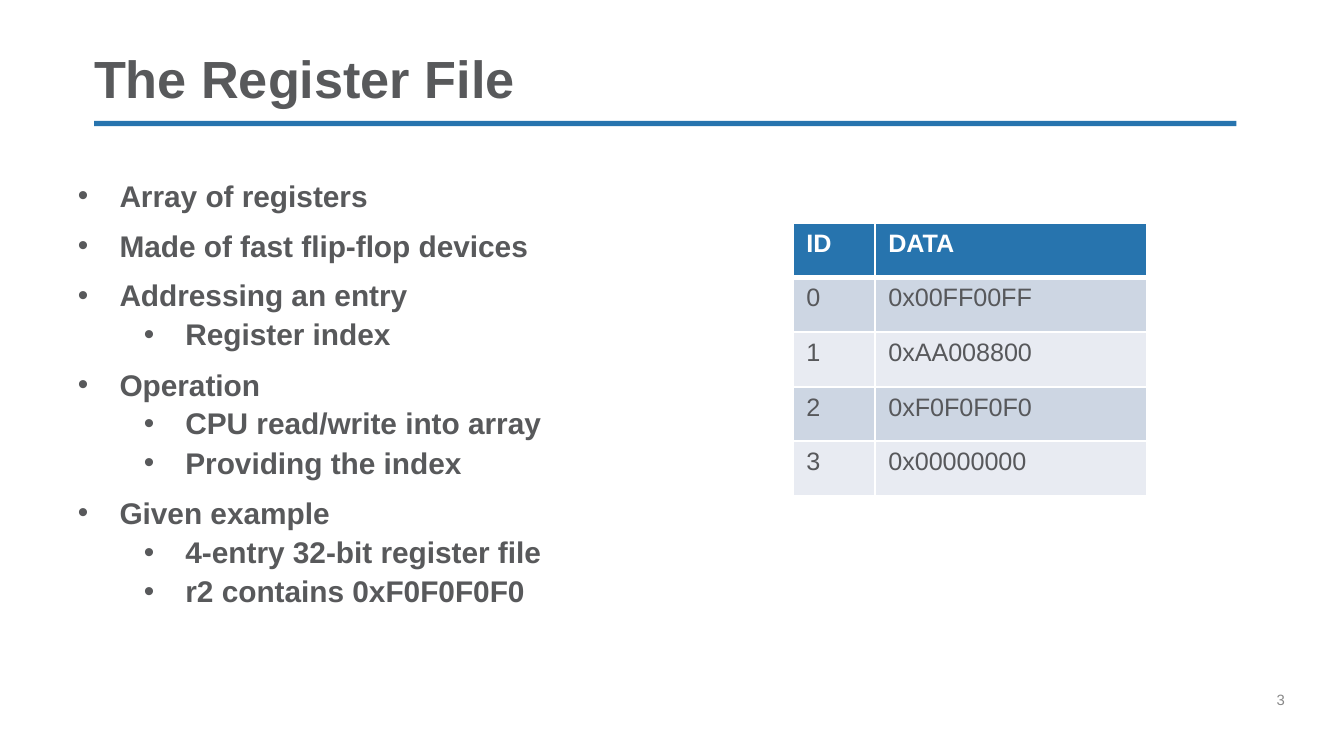
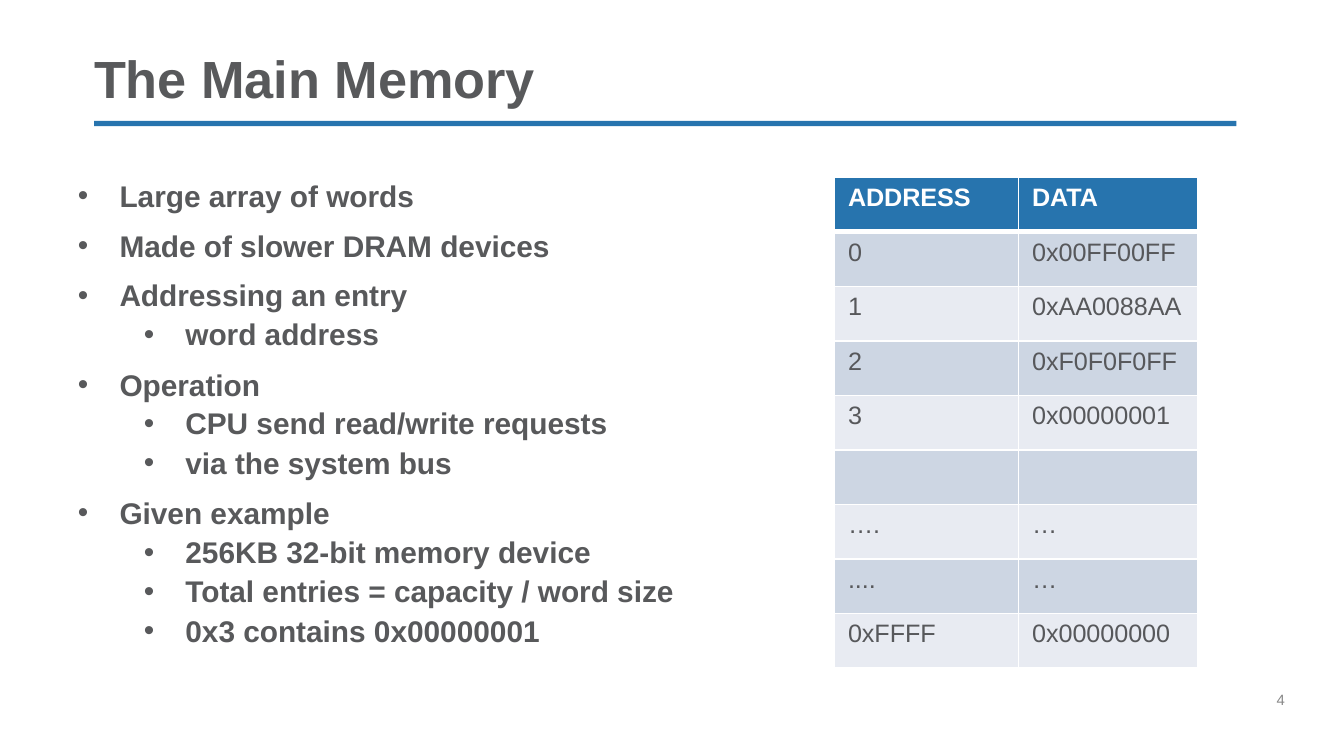
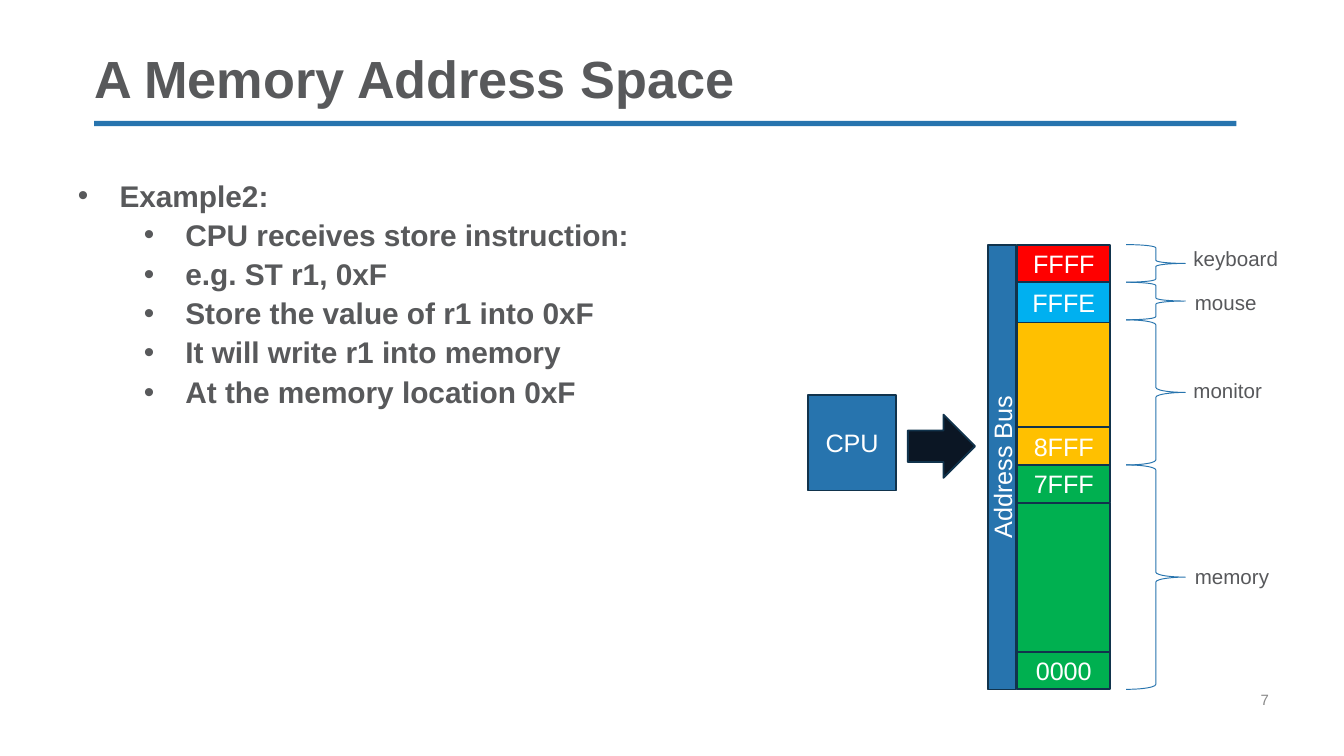
from dataclasses import dataclass

from lxml.etree import SubElement
from pptx import Presentation
from pptx.dml.color import RGBColor
from pptx.enum.shapes import MSO_SHAPE
from pptx.enum.text import MSO_ANCHOR, MSO_AUTO_SIZE, PP_ALIGN
from pptx.oxml.ns import qn
from pptx.util import Inches, Pt


@dataclass(frozen=True)
class Theme:
    font: str = "Arial"
    blue: str = "2774AE"
    outline: str = "11334C"
    arrow: str = "0B1624"
    heading: str = "58595B"
    text: str = "57585B"
    page_number: str = "898989"
    white: str = "FFFFFF"
    bands: tuple = ("CDD6E3", "E8EBF2")
    red: str = "FF0000"
    sky: str = "00B0F0"
    amber: str = "FFC000"
    green: str = "00B050"
    title_size: float = 28
    body_size: float = 16
    cell_size: float = 13.5
    label_size: float = 11
    page_size: float = 8


THEME = Theme()

# Paragraph settings per bullet level
BULLET_LEVELS = (
    {"indent": 0.31, "format": {"space_before": Pt(7.5)}},
    {"indent": 0.8, "format": {"level": 1, "space_before": Pt(3.8), "line_spacing": 0.9}},
)
BULLET_HANG = 0.31


def set_attributes(target, formats):
    for name, value in formats.items():
        setattr(target, name, value)


def inches(*lengths):
    return [Inches(length) for length in lengths]


def style_font(font, size, color, bold=False):
    set_attributes(font, {"name": THEME.font, "size": Pt(size), "bold": bold})
    font.color.rgb = RGBColor.from_string(color)


def format_frame(frame, bottom=0.0, anchor=MSO_ANCHOR.TOP,
                 auto_size=MSO_AUTO_SIZE.SHAPE_TO_FIT_TEXT):
    set_attributes(frame, {
        "margin_left": 0, "margin_top": 0, "margin_right": 0,
        "margin_bottom": Inches(bottom), "word_wrap": True,
        "vertical_anchor": anchor, "auto_size": auto_size,
    })


def write(paragraph, text, size, color, bold=False):
    run = paragraph.add_run()
    run.text = text
    style_font(run.font, size, color, bold)


# Slide frame: title, rule and page number
def add_titled_slide(presentation, title, number, number_left=9.5):
    slide = presentation.slides.add_slide(presentation.slide_layouts[5])
    add_block(slide, MSO_SHAPE.RECTANGLE, (0.7, 0.9, 8.5, 0.04), THEME.blue, line=None)
    placeholder = slide.shapes.title
    left, top, width, height = inches(0.7, 0.4, 8.5, 0.42)
    set_attributes(placeholder, {"left": left, "top": top, "width": width, "height": height})
    format_frame(placeholder.text_frame, anchor=MSO_ANCHOR.BOTTOM,
                 auto_size=MSO_AUTO_SIZE.NONE)
    paragraph = placeholder.text_frame.paragraphs[0]
    set_attributes(paragraph, {"alignment": PP_ALIGN.LEFT, "line_spacing": 0.9})
    write(paragraph, title, THEME.title_size, THEME.heading, True)
    add_label(slide, (number_left, 5.2, 0.5, 0.4), str(number),
              THEME.page_size, THEME.page_number, bottom=0.26)
    return slide


def add_label(slide, box, text, size, color, bottom=0.0):
    frame = slide.shapes.add_textbox(*inches(*box)).text_frame
    format_frame(frame, bottom)
    write(frame.paragraphs[0], text, size, color)


def add_bullets(slide, height, items):
    frame = slide.shapes.add_textbox(*inches(0.58, 1.32, 4.74, height)).text_frame
    format_frame(frame)
    for index, (level, text) in enumerate(items):
        paragraph = frame.add_paragraph() if index else frame.paragraphs[0]
        settings = BULLET_LEVELS[level]
        set_attributes(paragraph, settings["format"])
        if index == 0:
            paragraph.space_before = Pt(0)
        properties = paragraph._p.get_or_add_pPr()
        properties.set("marL", str(Inches(settings["indent"])))
        properties.set("indent", str(-Inches(BULLET_HANG)))
        SubElement(properties, qn("a:buFont"), typeface=THEME.font)
        SubElement(properties, qn("a:buChar"), char="•")
        write(paragraph, text, THEME.body_size, THEME.heading, True)


def add_cell_borders(cell, top, bottom):
    properties = cell._tc.get_or_add_tcPr()
    for side, width in (("L", 1), ("R", 1), ("T", top), ("B", bottom)):
        line = SubElement(properties, qn(f"a:ln{side}"), w=str(Pt(width)))
        fill = SubElement(line, qn("a:solidFill"))
        SubElement(fill, qn("a:srgbClr"), val=THEME.white)


def add_data_table(slide, box, column_widths, rows):
    shape = slide.shapes.add_table(len(rows), len(column_widths), *inches(*box))
    table = shape.table
    table.horz_banding = False
    for column, width in zip(table.columns, column_widths):
        column.width = Inches(width)
    for row_index, values in enumerate(rows):
        table.rows[row_index].height = Inches(box[3] / len(rows))
        header = row_index == 0
        background = THEME.blue if header else THEME.bands[(row_index - 1) % 2]
        for column_index, value in enumerate(values):
            cell = table.cell(row_index, column_index)
            add_cell_borders(cell, 3 if row_index == 1 else 1, 3 if header else 1)
            cell.fill.solid()
            cell.fill.fore_color.rgb = RGBColor.from_string(background)
            paragraph = cell.text_frame.paragraphs[0]
            color = THEME.white if header else THEME.text
            if value:
                write(paragraph, value, THEME.cell_size, color, header)
            else:
                style_font(paragraph.font, THEME.cell_size, color)


def add_block(slide, kind, box, fill, text="", rotation=0, line=THEME.outline, weight=1):
    shape = slide.shapes.add_shape(kind, *inches(*box))
    shape.shadow.inherit = False
    shape.rotation = rotation
    if fill:
        shape.fill.solid()
        shape.fill.fore_color.rgb = RGBColor.from_string(fill)
    else:
        shape.fill.background()
    if line:
        shape.line.color.rgb = RGBColor.from_string(line)
        shape.line.width = Pt(weight)
    else:
        shape.line.fill.background()
    if text:
        shape.text_frame.vertical_anchor = MSO_ANCHOR.MIDDLE
        paragraph = shape.text_frame.paragraphs[0]
        paragraph.alignment = PP_ALIGN.CENTER
        write(paragraph, text, THEME.cell_size, THEME.white)


def add_address_map(slide):
    # Processor, bus and the arrow between them
    add_block(slide, MSO_SHAPE.RECTANGLE, (6.01, 2.94, 0.66, 0.71), THEME.blue, "CPU")
    add_block(slide, MSO_SHAPE.RECTANGLE, (5.8, 3.37, 3.31, 0.21), THEME.blue,
              "Address Bus", rotation=270)
    add_block(slide, MSO_SHAPE.DOWN_ARROW, (6.77, 3.07, 0.47, 0.5), THEME.arrow, rotation=270)

    # Stacked address ranges, from the highest address down
    top = 1.82
    for height, fill, address in (
        (0.28, THEME.red, "FFFF"), (0.3, THEME.sky, "FFFE"),
        (0.78, THEME.amber, ""), (0.28, THEME.amber, "8FFF"),
        (0.28, THEME.green, "7FFF"), (1.11, THEME.green, ""),
        (0.28, THEME.green, "0000"),
    ):
        add_block(slide, MSO_SHAPE.RECTANGLE, (7.57, top, 0.69, height), fill, address)
        top += height

    # Braces naming the device behind each range
    top = 1.82
    for height, device, label_left, label_top, label_width in (
        (0.28, "keyboard", 8.88, 1.83, 0.8), (0.28, "mouse", 8.89, 2.16, 0.8),
        (1.08, "monitor", 8.88, 2.81, 1.1), (1.67, "memory", 8.89, 4.2, 1.1),
    ):
        add_block(slide, MSO_SHAPE.RIGHT_BRACE, (8.38, top, 0.44, height), None,
                  line=THEME.blue, weight=0.5)
        add_label(slide, (label_left, label_top, label_width, 0.19), device,
                  THEME.label_size, THEME.text)
        top += height


def main():
    presentation = Presentation()
    # Widescreen, 16 to 9
    presentation.slide_width = Inches(10)
    presentation.slide_height = Inches(10 * 9 / 16)

    # Register file
    slide = add_titled_slide(presentation, "The Register File", 3)
    add_bullets(slide, 3.29, [
        (0, "Array of registers"),
        (0, "Made of fast flip-flop devices"),
        (0, "Addressing an entry"),
        (1, "Register index"),
        (0, "Operation"),
        (1, "CPU read/write into array"),
        (1, "Providing the index"),
        (0, "Given example"),
        (1, "4-entry 32-bit register file"),
        (1, "r2 contains 0xF0F0F0F0"),
    ])
    add_data_table(slide, (5.9, 1.66, 2.63, 2.03), (0.61, 2.02), [
        ("ID", "DATA"),
        ("0", "0x00FF00FF"),
        ("1", "0xAA008800"),
        ("2", "0xF0F0F0F0"),
        ("3", "0x00000000"),
    ])

    # Main memory
    slide = add_titled_slide(presentation, "The Main Memory", 4)
    add_bullets(slide, 3.59, [
        (0, "Large array of words"),
        (0, "Made of slower DRAM devices"),
        (0, "Addressing an entry"),
        (1, "word address"),
        (0, "Operation"),
        (1, "CPU send read/write requests"),
        (1, "via the system bus"),
        (0, "Given example"),
        (1, "256KB 32-bit memory device"),
        (1, "Total entries = capacity / word size"),
        (1, "0x3 contains 0x00000001"),
    ])
    add_data_table(slide, (6.21, 1.32, 2.7, 3.65), (1.37, 1.33), [
        ("ADDRESS", "DATA"),
        ("0", "0x00FF00FF"),
        ("1", "0xAA0088AA"),
        ("2", "0xF0F0F0FF"),
        ("3", "0x00000001"),
        ("", ""),
        ("….", "…"),
        ("....", "…"),
        ("0xFFFF", "0x00000000"),
    ])

    # Address space
    slide = add_titled_slide(presentation, "A Memory Address Space", 7, number_left=9.38)
    add_bullets(slide, 1.76, [
        (0, "Example2:"),
        (1, "CPU receives store instruction:"),
        (1, "e.g. ST r1, 0xF"),
        (1, "Store the value of r1 into 0xF"),
        (1, "It will write r1 into memory"),
        (1, "At the memory location 0xF"),
    ])
    add_address_map(slide)

    presentation.save("out.pptx")


if __name__ == "__main__":
    main()
